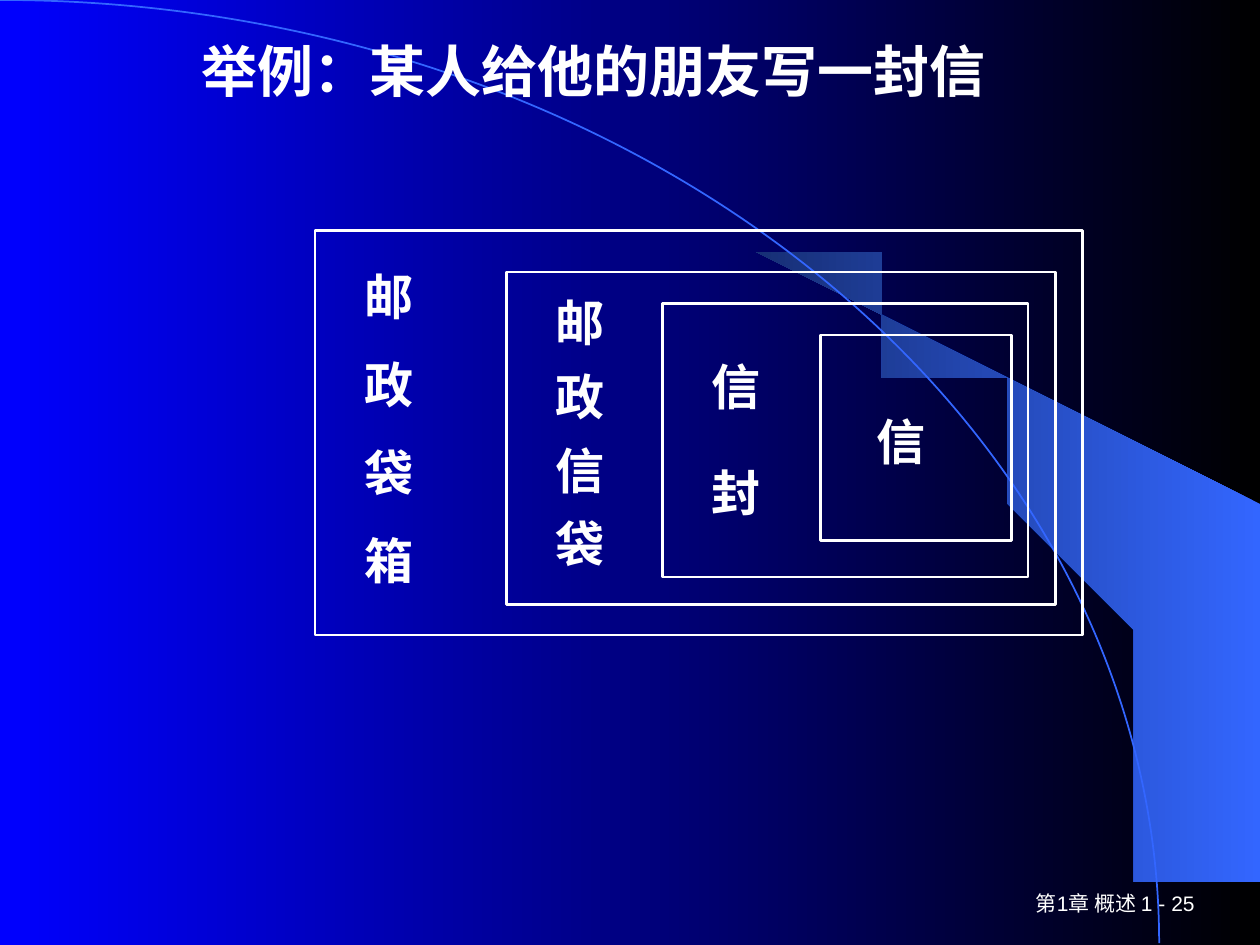
from pptx import Presentation
from pptx.dml.color import RGBColor
from pptx.enum import shapes, text
from pptx.oxml.ns import qn
from pptx.util import Inches, Pt
from lxml import etree

WHITE, BLUE = "FFFFFF", "3366FF"
CJK = "Noto Sans CJK SC"
LEFT, RIGHT, JUST = (text.PP_ALIGN.LEFT, text.PP_ALIGN.RIGHT,
                     text.PP_ALIGN.JUSTIFY)


def color(code):
    return RGBColor.from_string(code)


def shade(fill, first, last):
    """Gradient running from first at the right to last at the left."""
    fill.gradient()
    fill.gradient_angle = 180
    for stop, pos, code in zip(fill.gradient_stops, (0, 1), (first, last)):
        stop.position = pos
        stop.color.rgb = color(code)


def write(frame, lines, size, face="Arial", bold=True, align=LEFT,
          gap=None, inset=0.1, anchor=text.MSO_ANCHOR.MIDDLE):
    frame.word_wrap = True
    frame.vertical_anchor = anchor
    frame.margin_left = Inches(inset)
    for i, line in enumerate(lines):
        para = frame.paragraphs[0] if i == 0 else frame.add_paragraph()
        para.text = line
        para.alignment = align
        if gap:
            para.line_spacing = gap
        font = para.font
        font.size, font.bold, font.name = Pt(size), bold, face
        font.color.rgb = color(WHITE)
        props = para._p.pPr.find(qn("a:defRPr"))
        etree.SubElement(props, qn("a:ea")).set("typeface", CJK)


def label(slide, box, line, size, **style):
    area = slide.shapes.add_textbox(*map(Inches, box))
    write(area.text_frame, [line], size, **style)


def backdrop(slide):
    shade(slide.background.fill, "000000", "0000FF")
    beam = [(9.2, 7.48), (9.99, 7.49), (9.99, 4.23), (5.89, 1.73),
            (6.24, 1.99), (6.53, 2.22), (6.85, 2.5), (7.16, 2.8),
            (7.62, 3.3), (8.03, 3.84), (8.32, 4.31), (8.58, 4.79),
            (8.78, 5.28), (8.93, 5.72), (9.03, 6.09), (9.13, 6.56),
            (9.17, 6.96)]
    path = slide.shapes.build_freeform(*beam[0], scale=Inches(1))
    path.add_line_segments(beam[1:], close=True)
    wedge = path.convert_to_shape()
    wedge.shadow.inherit = False
    shade(wedge.fill, BLUE, "172F75")
    wedge.line.fill.background()

    arc = slide.shapes.add_shape(
        shapes.MSO_SHAPE.ARC, *map(Inches, (-9.2, 0, 18.4, 14.97)))
    arc.shadow.inherit = False
    arc.fill.background()
    arc.line.color.rgb = color(BLUE)
    arc.line.width = Pt(1)


def layer(slide, box, word, gap, inset=0.39, align=JUST):
    """Outlined box with its word written downwards at the left."""
    rect = slide.shapes.add_shape(
        shapes.MSO_SHAPE.RECTANGLE, *map(Inches, box))
    rect.shadow.inherit = False
    rect.fill.background()
    rect.line.color.rgb = color(WHITE)
    rect.line.width = Pt(1.5)
    write(rect.text_frame, word, 28, align=align, gap=gap, inset=inset,
          anchor=text.MSO_ANCHOR.TOP)


def main():
    deck = Presentation()
    deck.slide_width, deck.slide_height = Inches(10), Inches(7.5)
    slide = deck.slides.add_slide(deck.slide_layouts[6])
    backdrop(slide)
    label(slide, (7.5, 7, 2.08, 0.33), "第1章 概述 1 - 25", 12,
          bold=False, align=RIGHT)
    label(slide, (1.5, 0.15, 6.92, 0.81), "举例：某人给他的朋友写一封信", 32,
          face=CJK)
    layer(slide, (2.5, 1.83, 6.09, 3.21), "邮政袋箱", 1.5)
    layer(slide, (6.51, 2.66, 1.52, 1.63), "信", 2.2, inset=0.45, align=LEFT)
    layer(slide, (5.26, 2.41, 2.9, 2.17), "信封", 1.8)
    layer(slide, (4.02, 2.16, 4.36, 2.64), "邮政信袋", 1.25)
    deck.save("out.pptx")


if __name__ == "__main__":
    main()
